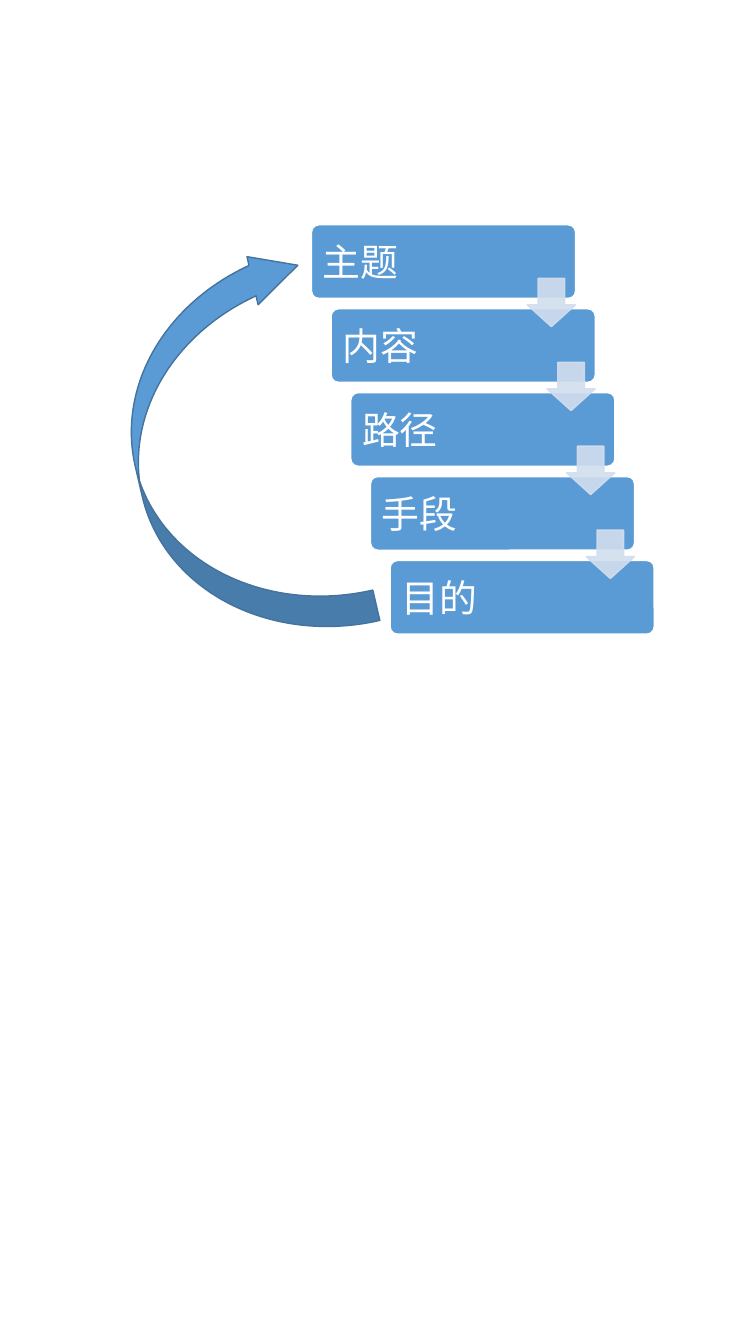
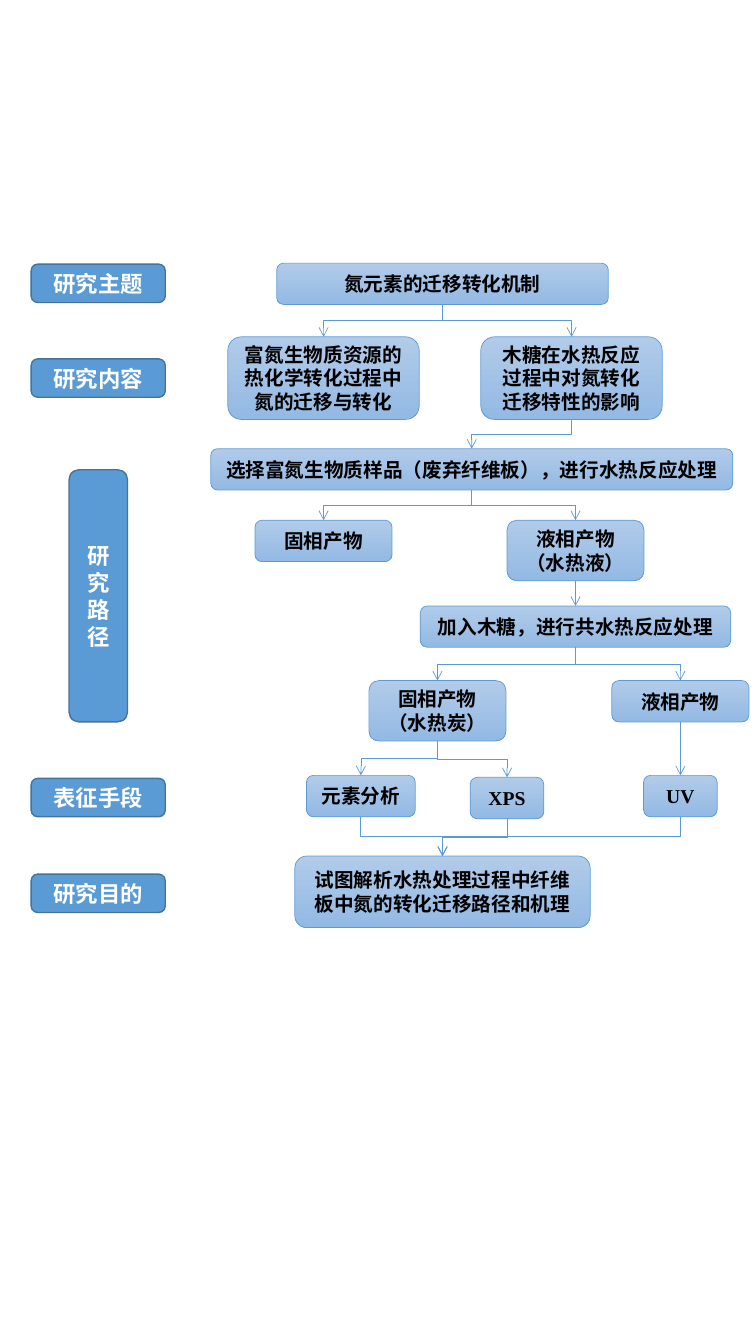
from collections import namedtuple

from lxml import etree
from pptx import Presentation
from pptx import util as u
from pptx.dml.color import RGBColor
from pptx.enum import shapes, text
from pptx.oxml.ns import qn

BLUE = RGBColor(0x5B, 0x9B, 0xD5)
DARK_BLUE = RGBColor(0x43, 0x73, 0x9E)
PALE_BLUE = RGBColor(0xD2, 0xDE, 0xEF)
NODE_TOP = RGBColor(0xB1, 0xCB, 0xE9)
NODE_BOTTOM = RGBColor(0x93, 0xB9, 0xE4)
WHITE = RGBColor(0xFF, 0xFF, 0xFF)
BLACK = RGBColor(0, 0, 0)
SANS, SERIF = "Arial", "Times New Roman"

# Grid: 75 columns across the slide, with square cells
COLUMNS, ROWS = 75, 133.3
SLIDE_WIDTH = u.Inches(7.5)
CELL = SLIDE_WIDTH / COLUMNS

Box = namedtuple("Box", "left top width height")
STAIRCASE = Box(30.9, 22.3, 34, 40.6)
RETURN_ARROW = Box(13.4, 25.7, 20.2, 38.6)
STAGE_COLUMN = Box(3.1, 26.2, 13.3, 64.3)
FLOW = Box(20.9, 26.1, 53.5, 65.9)

STEPS = ["主题", "内容", "路径", "手段", "目的"]

# Top row, width, height and label
STAGES = [
    (0, 13.3, 3.8, "研究主题"),
    (9.4, 13.3, 3.8, "研究内容"),
    (20.4, 5.8, 25, "研究路径"),
    (51, 13.3, 3.8, "表征手段"),
    (60.5, 13.3, 3.8, "研究目的"),
]

# Centre column, top row, width, height and label
NODES = {
    "theme": (23, 0, 32.9, 4.1, "氮元素的迁移转化机制"),
    "nitrogen": (11.2, 7.3, 19, 8.2, "富氮生物质资源的热化学转化过程中氮的迁移与转化"),
    "xylose": (35.8, 7.3, 18, 8.2, "木糖在水热反应过程中对氮转化迁移特性的影响"),
    "treatment": (25.9, 18.4, 51.8, 4.1, "选择富氮生物质样品（废弃纤维板），进行水热反应处理"),
    "solid": (11.2, 25.5, 13.6, 4.1, "固相产物"),
    "liquid": (36.2, 25.5, 13.6, 6, "液相产物（水热液）"),
    "co_treatment": (36.2, 34, 30.8, 4.1, "加入木糖，进行共水热反应处理"),
    "char": (22.5, 41.4, 13.6, 6, "固相产物\n（水热炭）"),
    "final_liquid": (46.6, 41.4, 13.6, 4.1, "液相产物"),
    "elements": (14.9, 50.8, 10.8, 4.1, "元素分析"),
    "xps": (29.4, 51, 7.3, 4.1, "XPS"),
    "uv": (46.6, 50.8, 7.3, 4.1, "UV"),
    "goal": (23, 58.8, 29.3, 7.1, "试图解析水热处理过程中纤维板中氮的转化迁移路径和机理"),
}

LINKS = [
    ("theme", "nitrogen"), ("theme", "xylose"), ("xylose", "treatment"),
    ("treatment", "solid"), ("treatment", "liquid"),
    ("liquid", "co_treatment"),
    ("co_treatment", "char"), ("co_treatment", "final_liquid"),
    ("char", "elements"), ("char", "xps"), ("final_liquid", "uv"),
    ("elements", "goal"), ("xps", "goal"), ("uv", "goal"),
]


def cells(*counts):
    """Turn grid counts into lengths."""
    return [u.Emu(round(count * CELL)) for count in counts]


def add_block(slide, kind, box, fill, outline, weight=1, adjust=()):
    block = slide.shapes.add_shape(kind, *cells(*box))
    block.shadow.inherit = False
    for index, value in enumerate(adjust):
        block.adjustments[index] = value
    block.fill.solid()
    block.fill.fore_color.rgb = fill
    block.line.color.rgb = outline
    block.line.width = u.Pt(weight)
    return block


def write(block, label, size, color, bold=True, font=SANS,
          align=text.PP_ALIGN.CENTER):
    frame = block.text_frame
    frame.word_wrap = True
    frame.vertical_anchor = text.MSO_ANCHOR.MIDDLE
    frame.text = label
    for paragraph in frame.paragraphs:
        paragraph.alignment = align
        for run in paragraph.runs:
            run.font.name = font
            run.font.size = u.Pt(size)
            run.font.bold = bold
            run.font.color.rgb = color


def make_translucent(block, percent):
    for color in block._element.spPr.iter(qn("a:srgbClr")):
        etree.SubElement(color, qn("a:alpha"), val=str(percent * 1000))


def draw_staircase(slide, area):
    """Bars going down to the right, with an arrow from each to the next."""
    width, height, arrow = 26.2, 7.3, 4.8
    last = len(STEPS) - 1
    shift = (area.width - width) / last
    drop = (area.height - height) / last
    corners = [(area.left + i * shift, area.top + i * drop)
               for i in range(len(STEPS))]
    for (left, top), label in zip(corners, STEPS):
        bar = add_block(slide, shapes.MSO_SHAPE.ROUNDED_RECTANGLE,
                        Box(left, top, width, height), BLUE, WHITE,
                        adjust=[0.1])
        bar.text_frame.margin_left = u.Inches(0.09)
        write(bar, label, 27, WHITE, bold=False, align=text.PP_ALIGN.LEFT)
    for left, top in corners[:-1]:
        down = add_block(slide, shapes.MSO_SHAPE.DOWN_ARROW,
                         Box(left + width - arrow, top + 5.3, arrow, arrow),
                         PALE_BLUE, PALE_BLUE, adjust=[0.55, 0.45])
        make_translucent(down, 90)


def draw_return_arrow(slide, area):
    arrow = add_block(slide, shapes.MSO_SHAPE.CURVED_LEFT_ARROW, area,
                      BLUE, DARK_BLUE, adjust=[0.153, 0.242, 0.234])
    arrow.rotation = 167


def draw_stages(slide, area):
    for top, width, height, label in STAGES:
        box = Box(area.left + (area.width - width) / 2, area.top + top,
                  width, height)
        stage = add_block(slide, shapes.MSO_SHAPE.FLOWCHART_ALTERNATE_PROCESS,
                          box, BLUE, DARK_BLUE)
        write(stage, label, 16, WHITE)


def draw_node(slide, box, label):
    node = add_block(slide, shapes.MSO_SHAPE.FLOWCHART_ALTERNATE_PROCESS,
                     box, NODE_TOP, BLUE, weight=0.5)
    node.fill.gradient()
    node.fill.gradient_angle = 270
    for stop, color in zip(node.fill.gradient_stops, (NODE_TOP, NODE_BOTTOM)):
        stop.color.rgb = color
    write(node, label, 14, BLACK, font=SERIF if label.isascii() else SANS)


def draw_link(slide, source, target):
    """Arrow from the bottom of one box to the top of another.

    An elbow leaves sideways by default, so it is laid out a quarter turn
    back and then rotated to leave downwards.
    """
    x1, y1 = source.left + source.width / 2, source.top + source.height
    x2, y2 = target.left + target.width / 2, target.top
    across, down = x2 - x1, y2 - y1
    if abs(across) < 0.01:
        link = slide.shapes.add_connector(
            shapes.MSO_CONNECTOR.STRAIGHT, *cells(x1, y1, x1, y2))
    else:
        middle_x, middle_y = (x1 + x2) / 2, (y1 + y2) / 2
        link = slide.shapes.add_connector(
            shapes.MSO_CONNECTOR.ELBOW,
            *cells(middle_x - down / 2, middle_y + across / 2,
                   middle_x + down / 2, middle_y - across / 2))
        link.rotation = 90
    link.line.color.rgb = BLUE
    link.line.width = u.Pt(0.5)
    etree.SubElement(link.line._get_or_add_ln(), qn("a:tailEnd"), type="arrow")
    etree.SubElement(link._element.spPr, qn("a:effectLst"))


def draw_flow(slide, area):
    boxes = {}
    for key, (centre, top, width, height, label) in NODES.items():
        boxes[key] = Box(area.left + centre - width / 2, area.top + top,
                         width, height)
        draw_node(slide, boxes[key], label)
    for source, target in LINKS:
        draw_link(slide, boxes[source], boxes[target])


def main():
    deck = Presentation()
    deck.slide_width, deck.slide_height = cells(COLUMNS, ROWS)
    blank = deck.slide_layouts[6]

    overview = deck.slides.add_slide(blank)
    draw_staircase(overview, STAIRCASE)
    draw_return_arrow(overview, RETURN_ARROW)

    research = deck.slides.add_slide(blank)
    draw_stages(research, STAGE_COLUMN)
    draw_flow(research, FLOW)

    deck.save("out.pptx")


if __name__ == "__main__":
    main()
